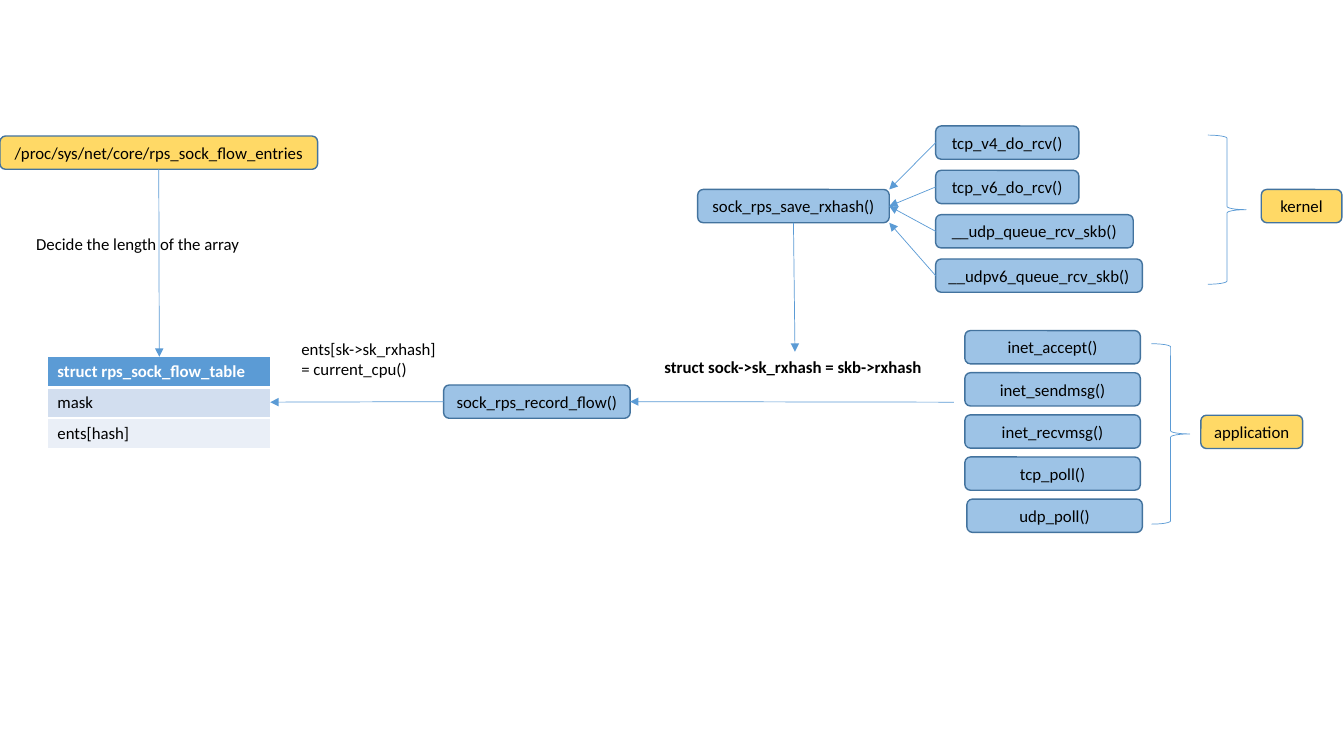
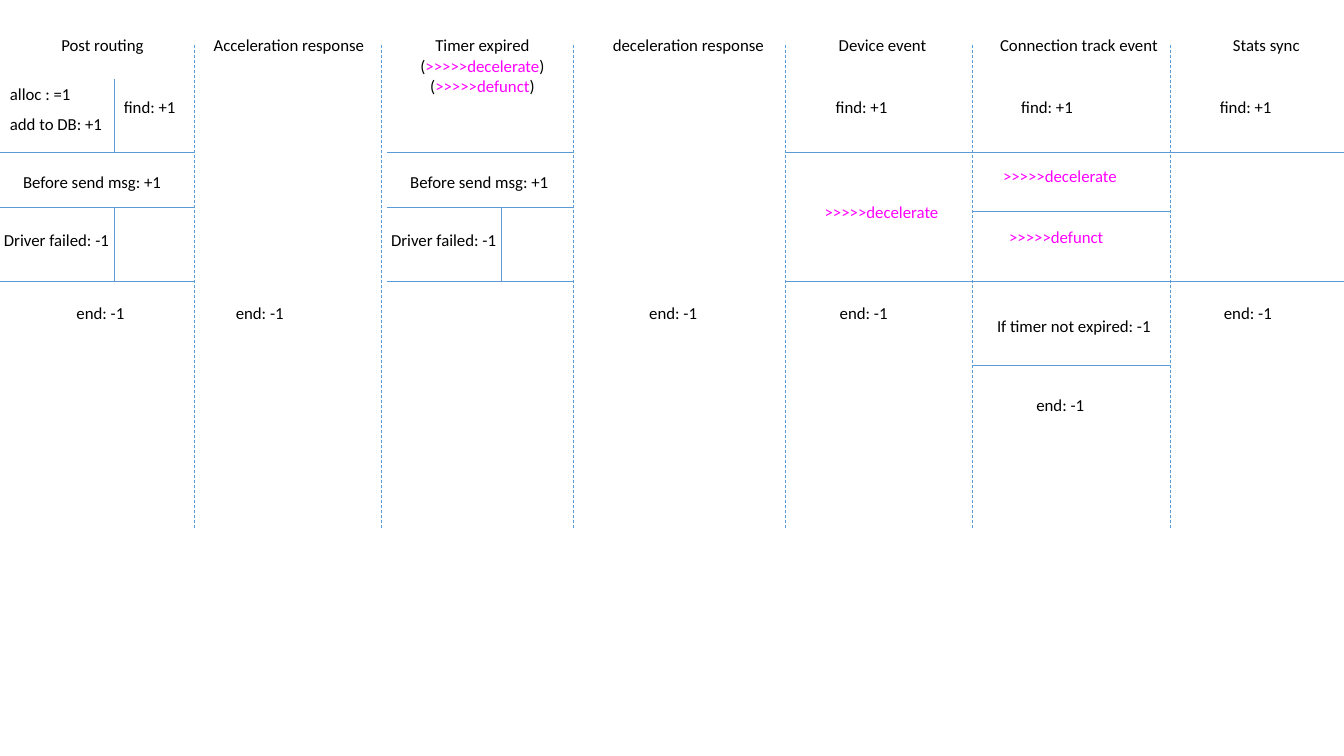
import pptx
import pptx.chart.data
import pptx.dml.color
import pptx.enum.dml
import pptx.enum.shapes
import pptx.enum.text
import pptx.oxml
import pptx.oxml.ns
import pptx.util
from dataclasses import dataclass
from typing import Any, NamedTuple, Optional, Union

WIDE, HIGH = 13.33, 7.5
COLS, ROWS = 133.3, 75  # grid of square cells
CELL = HIGH / ROWS
FONT, SIZE = "Calibri", 12
HUES = {
    "ink": "000000", "white": "FFFFFF", "line": "5B9BD5", "edge": "43739E",
    "blue": "9DC3E6", "gold": "FFD966", "jump": "FF00FF",
    "head": "5B9BD5", "odd": "D2DEEF", "even": "EAEFF7",
}
JUMPS = (">>>>>decelerate", ">>>>>defunct")
TOP, LEFT, BASE, RIGHT = range(4)
BOX = 3.3  # height of a box
NOTE = 3.0  # height of a line of text

ALIGN = pptx.enum.text.PP_ALIGN
SHAPE = pptx.enum.shapes.MSO_SHAPE


class Spot(NamedTuple):
    col: float
    row: float


class Dock(NamedTuple):
    shape: Any
    side: int


class Area(NamedTuple):
    col: float
    row: float
    wide: float
    high: float


@dataclass
class Label:
    """A text shown at one row, once for each left column."""
    text: str
    row: float
    wide: float
    cols: tuple[float, ...]


@dataclass
class Rule:
    """A row line drawn across the numbered lanes."""
    row: float
    lanes: tuple[int, ...]


def unit(cells: float) -> int:
    return pptx.util.Inches(cells * CELL)


def place(area: Area) -> list[int]:
    return [unit(n) for n in area]


def hue(name: str) -> pptx.dml.color.RGBColor:
    return pptx.dml.color.RGBColor.from_string(HUES[name])


def split(line: str) -> list[tuple[str, bool]]:
    """Cut a line into runs, marking the jumps."""
    for jump in JUMPS:
        if jump in line:
            head, mid, tail = line.partition(jump)
            return [(s, s == mid) for s in (head, mid, tail) if s]
    return [(line, False)]


def write(frame: Any, text: str, *, color: str = "ink", bold: bool = False,
          align: Any = ALIGN.LEFT) -> None:
    for i, line in enumerate(text.split("\n")):
        para = frame.add_paragraph() if i else frame.paragraphs[0]
        para.alignment = align
        for part, jump in split(line):
            run = para.add_run()
            run.text = part
            run.font.name = FONT
            run.font.size = pptx.util.Pt(SIZE)
            run.font.bold = bold
            run.font.color.rgb = hue("jump" if jump else color)


def note(slide: Any, area: Area, text: str, wrap: bool = False, **form: Any) -> Any:
    shape = slide.shapes.add_textbox(*place(area))
    frame = shape.text_frame
    frame.word_wrap = wrap
    frame.auto_size = pptx.enum.text.MSO_AUTO_SIZE.SHAPE_TO_FIT_TEXT
    write(frame, text, **form)
    return shape


def box(slide: Any, col: float, row: float, wide: float, text: str,
        fill: str = "blue") -> Any:
    shape = slide.shapes.add_shape(SHAPE.ROUNDED_RECTANGLE,
                                   *place(Area(col, row, wide, BOX)))
    shape.shadow.inherit = False
    shape.fill.solid()
    shape.fill.fore_color.rgb = hue(fill)
    shape.line.color.rgb = hue("edge")
    shape.line.width = pptx.util.Pt(1)
    frame = shape.text_frame
    frame.word_wrap = False
    frame.vertical_anchor = pptx.enum.text.MSO_ANCHOR.MIDDLE
    write(frame, text, align=ALIGN.CENTER)
    return shape


def brace(slide: Any, area: Area) -> None:
    shape = slide.shapes.add_shape(SHAPE.RIGHT_BRACE, *place(area))
    shape.shadow.inherit = False
    shape.fill.background()
    shape.line.color.rgb = hue("line")
    shape.line.width = pptx.util.Pt(0.5)


def link(slide: Any, start: Union[Spot, Dock], end: Union[Spot, Dock],
         arrow: bool = False, dash: bool = False) -> None:
    ends = [p if isinstance(p, Spot) else Spot(0, 0) for p in (start, end)]
    wire = slide.shapes.add_connector(
        pptx.enum.shapes.MSO_CONNECTOR.STRAIGHT,
        *(unit(n) for spot in ends for n in spot))
    if isinstance(start, Dock):
        wire.begin_connect(*start)
    if isinstance(end, Dock):
        wire.end_connect(*end)
    wire.line.color.rgb = hue("line")
    wire.line.width = pptx.util.Pt(0.5)
    if dash:
        wire.line.dash_style = pptx.enum.dml.MSO_LINE.DASH
    if arrow:
        tail = pptx.oxml.parse_xml(
            f'<a:tailEnd {pptx.oxml.ns.nsdecls("a")} type="triangle"/>')
        wire.line._get_or_add_ln().append(tail)
    wire._element.spPr.append(pptx.oxml.parse_xml(
        f'<a:effectLst {pptx.oxml.ns.nsdecls("a")}/>'))


def border(cell: Any, top: float, base: float) -> None:
    """Give a cell white sides, with its own top and base widths."""
    props = cell._tc.get_or_add_tcPr()
    for i, (side, wide) in enumerate(zip("LRTB", (1, 1, top, base))):
        props.insert(i, pptx.oxml.parse_xml(
            f'<a:ln{side} {pptx.oxml.ns.nsdecls("a")} w="{pptx.util.Pt(wide)}">'
            f'<a:solidFill><a:srgbClr val="{HUES["white"]}"/></a:solidFill>'
            f'</a:ln{side}>'))


def struct(slide: Any, area: Area, rows: tuple[str, ...]) -> None:
    table = slide.shapes.add_table(len(rows), 1, *place(area)).table
    fills = ("head", "odd", "even")
    for i, text in enumerate(rows):
        cell = table.cell(i, 0)
        cell.fill.solid()
        cell.fill.fore_color.rgb = hue(fills[i])
        border(cell, 3 if i == 1 else 1, 3 if i == 0 else 1)
        write(cell.text_frame, text, bold=i == 0,
              color="ink" if i else "white")


def flow(slide: Any) -> None:
    struct(slide, Area(4.7, 35.4, 22.1, 9),
           ("struct rps_sock_flow_table", "mask", "ents[hash]"))
    count = box(slide, 0, 13.5, 31.5, "/proc/sys/net/core/rps_sock_flow_entries", "gold")
    note(slide, Area(2.6, 22.7, 22.8, NOTE), "Decide the length of the array", wrap=True)

    save = box(slide, 69.2, 18.8, 19, "sock_rps_save_rxhash()")
    hub = Dock(save, RIGHT)
    feeds = (
        ("tcp_v4_do_rcv()", 14.2, Spot(88.2, 18.8)),
        ("tcp_v6_do_rcv()", 14.2, hub),
        ("__udp_queue_rcv_skb()", 19.6, hub),
        ("__udpv6_queue_rcv_skb()", 20.5, Spot(88.2, 22.1)),
    )
    for i, (name, wide, goal) in enumerate(feeds):
        feed = box(slide, 92.8, 12.5 + 4.4 * i, wide, name)
        link(slide, Dock(feed, LEFT), goal, arrow=True)
    hash_ = note(slide, Area(64.9, 34.9, 27.9, NOTE),
                 "struct sock->sk_rxhash = skb->rxhash", bold=True)
    link(slide, Dock(save, BASE), Dock(hash_, TOP), arrow=True)

    calls = ("inet_accept()", "inet_sendmsg()", "inet_recvmsg()",
             "tcp_poll()", "udp_poll()")
    for i, name in enumerate(calls):
        shift = 0.2 if name == calls[-1] else 0
        box(slide, 95.7 + shift, 32.8 + 4.18 * i, 17.4, name)

    brace(slide, Area(119.8, 13.4, 3.8, 14.8))
    box(slide, 125.1, 18.8, 8, "kernel", "gold")
    brace(slide, Area(114.2, 34.1, 3.8, 17.9))
    box(slide, 119.1, 41.2, 10.1, "application", "gold")

    record = box(slide, 44, 38.2, 18.5, "sock_rps_record_flow()")
    link(slide, Spot(94.6, 39.9), Dock(record, RIGHT), arrow=True)
    link(slide, Dock(count, BASE), Spot(15.8, 35.4), arrow=True)
    link(slide, Dock(record, LEFT), Spot(26.8, 39.9), arrow=True)
    note(slide, Area(28.9, 33.1, 16, 5), "ents[sk->sk_rxhash]\n= current_cpu()")


EDGES = (19.3, 37.8, 56.9, 77.9, 96.4, 116.1)
STARTS = (0, 19.3, 38.4, 56.9, 77.9, 96.4, 116.1)
ENDS = EDGES + (COLS,)
RULES = (
    Rule(15.1, (0, 2, 4, 5, 6)),
    Rule(20.6, (0, 2)),
    Rule(21, (5,)),
    Rule(27.9, (0, 2, 4, 5, 6)),
    Rule(36.2, (5,)),
)
SPLITS = ((11.3, 7.8), (11.3, 20.6), (49.7, 20.6))
LABELS = (
    Label("Post routing", 3, 10.3, (5.1,)),
    Label("Acceleration response", 3, 17.2, (20.2,)),
    Label("deceleration response", 3, 17.2, (59.8,)),
    Label("Device event", 3, 10.8, (82.2,)),
    Label("Connection track event", 3, 17.8, (98.2,)),
    Label("Stats sync", 3, 8.7, (121.3,)),
    Label("alloc : =1", 7.8, 8.1, (0,)),
    Label("add to DB: +1", 10.8, 11.3, (0,)),
    Label("find: +1", 9.1, 7.2, (11.3, 81.9, 100.3, 120)),
    Label("Before send msg: +1", 16.5, 15.9, (1.3, 39.7)),
    Label("Driver failed: -1", 22.3, 12.5, (-0.6, 37.8)),
    Label("end: -1", 29.5, 6.8, (6.6, 22.4, 63.4, 82.3, 120.4)),
    Label("end: -1", 38.7, 6.8, (101.8,)),
    Label("If timer not expired: -1", 30.8, 17.5, (97.9,)),
    Label(JUMPS[0], 19.5, 13.5, (80.8,)),
    Label(JUMPS[0], 16, 13.5, (98.5,)),
    Label(JUMPS[1], 22, 11.5, (99.1,)),
)


def lanes(slide: Any) -> None:
    for edge in EDGES:
        link(slide, Spot(edge, 4.5), Spot(edge, 52.4), dash=True)
    for rule in RULES:
        for lane in rule.lanes:
            link(slide, Spot(STARTS[lane], rule.row), Spot(ENDS[lane], rule.row))
    for col, row in SPLITS:
        link(slide, Spot(col, row), Spot(col, row + 7.3))
    for label in LABELS:
        for col in label.cols:
            note(slide, Area(col, label.row, label.wide, NOTE), label.text)
    note(slide, Area(40.6, 3, 14.5, 7.1),
         f"Timer expired\n({JUMPS[0]})\n({JUMPS[1]})", align=ALIGN.CENTER)


def main() -> None:
    deck = pptx.Presentation()
    deck.slide_width = pptx.util.Inches(WIDE)
    deck.slide_height = pptx.util.Inches(HIGH)
    blank = deck.slide_layouts[6]
    for draw in (flow, lanes):
        draw(deck.slides.add_slide(blank))
    deck.save("out.pptx")


if __name__ == "__main__":
    main()
